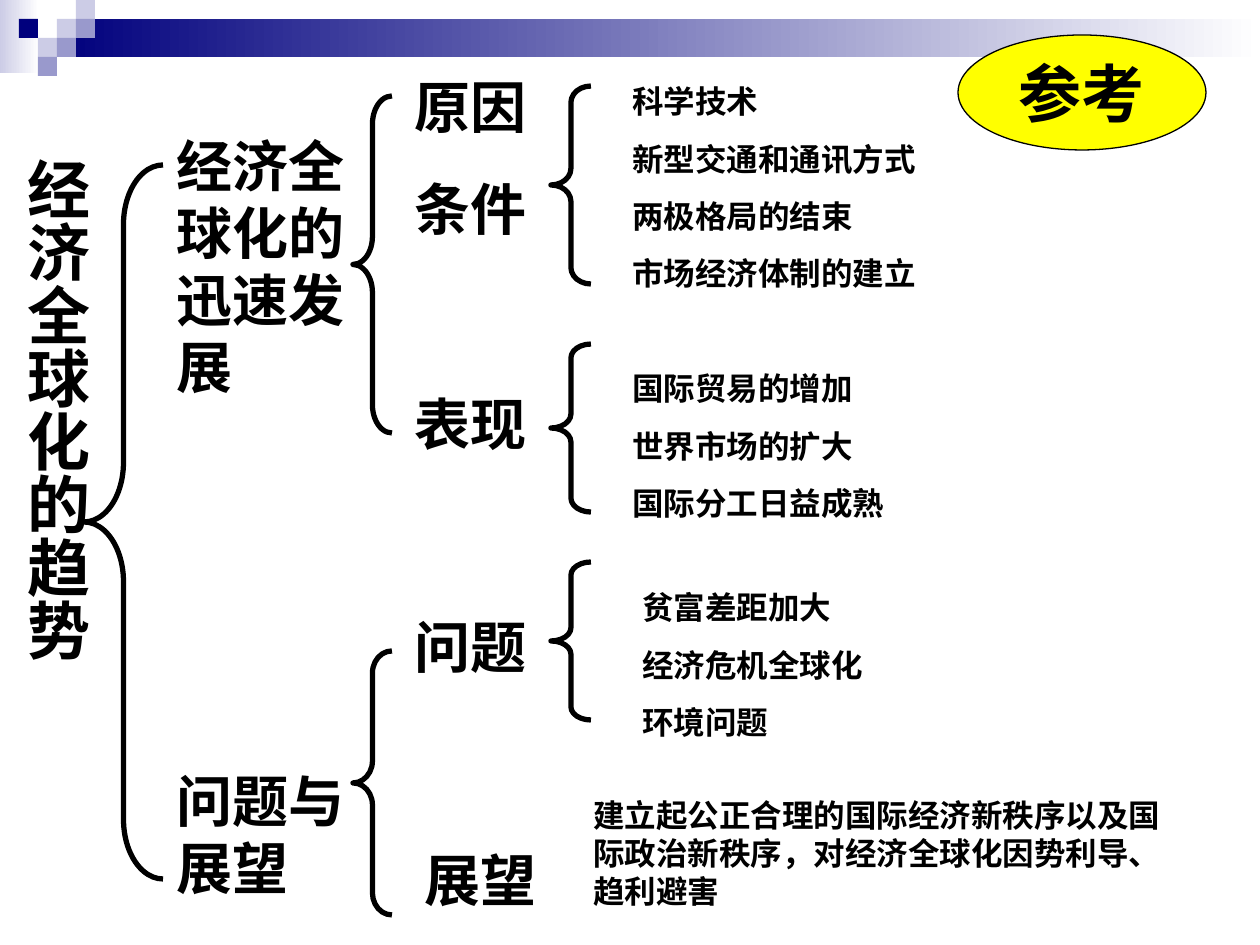
import pptx
import pptx.dml.color
import pptx.enum.shapes
import pptx.enum.text
import pptx.util

RGBColor = pptx.dml.color.RGBColor
MSO_SHAPE = pptx.enum.shapes.MSO_SHAPE
PP_ALIGN = pptx.enum.text.PP_ALIGN
MSO_ANCHOR = pptx.enum.text.MSO_ANCHOR
MSO_AUTO_SIZE = pptx.enum.text.MSO_AUTO_SIZE

BLACK = RGBColor(0x00, 0x00, 0x00)
WHITE = RGBColor(0xFF, 0xFF, 0xFF)
NAVY = RGBColor(0x00, 0x00, 0x7D)
LAVENDER = RGBColor(0xCC, 0xCC, 0xE6)
PERIWINKLE = RGBColor(0x99, 0x99, 0xCC)
YELLOW = RGBColor(0xFF, 0xFF, 0x00)

PX_PER_INCH = 126
TILE = 19

TILES = [
    (3, 1, LAVENDER),
    (4, 0, LAVENDER),
    (4, 1, PERIWINKLE),
    (2, 2, LAVENDER),
    (1, 1, NAVY),
    (3, 2, PERIWINKLE),
    (2, 3, PERIWINKLE),
]

BRACES = [
    (84, 165, 79, 714),
    (353, 96, 39, 337),
    (353, 651, 39, 264),
    (551, 86, 40, 198),
    (551, 344, 40, 168),
    (551, 562, 40, 158),
]

BRANCHES = [
    ((164, 125, 228, 282), ["经济全球化的迅速发展"]),
    ((164, 760, 218, 147), ["问题与展望"]),
    ((402, 66, 218, 183), ["原因", "条件"]),
    ((402, 383, 348, 81), ["表现"]),
    ((402, 606, 137, 81), ["问题"]),
    ((412, 839, 137, 81), ["展望"]),
]

DETAILS = [
    ((620, 76, 446, 223),
     ["科学技术", "新型交通和通讯方式", "两极格局的结束", "市场经济体制的建立"]),
    ((620, 363, 476, 166),
     ["国际贸易的增加", "世界市场的扩大", "国际分工日益成熟"]),
    ((630, 582, 407, 166),
     ["贫富差距加大", "经济危机全球化", "环境问题"]),
    ((581, 790, 615, 126),
     ["建立起公正合理的国际经济新秩序以及国际政治新秩序，对经济全球化因势利导、趋利避害"]),
]


def px(length):
    return pptx.util.Emu(round(length * 914400 / PX_PER_INCH))


def add_shape(slide, preset, box):
    shape = slide.shapes.add_shape(preset, *map(px, box))
    shape.shadow.inherit = False
    shape.line.fill.background()
    return shape


def add_tile(slide, column, row, color):
    tile = add_shape(slide, MSO_SHAPE.RECTANGLE, (column * TILE, row * TILE, TILE, TILE))
    tile.fill.solid()
    tile.fill.fore_color.rgb = color


def add_fading_band(slide, box, color):
    band = add_shape(slide, MSO_SHAPE.RECTANGLE, box)
    band.fill.gradient()
    band.fill.gradient_angle = 0
    for stop, stop_color in zip(band.fill.gradient_stops, (color, WHITE)):
        stop.color.rgb = stop_color


def add_brace(slide, box):
    brace = add_shape(slide, MSO_SHAPE.LEFT_BRACE, box)
    width, height = box[2:]
    brace.adjustments[0] = height / (12 * width)
    brace.fill.background()
    brace.line.color.rgb = BLACK
    brace.line.width = pptx.util.Pt(3)


def style_paragraph(paragraph, size):
    paragraph.font.name = "Arial"
    paragraph.font.size = pptx.util.Pt(size)
    paragraph.font.bold = True
    paragraph.font.color.rgb = BLACK


def add_text(slide, box, lines, size, gap=0):
    frame = slide.shapes.add_textbox(*map(px, box)).text_frame
    frame.word_wrap = True
    frame.auto_size = MSO_AUTO_SIZE.SHAPE_TO_FIT_TEXT
    for index, line in enumerate(lines):
        paragraph = frame.add_paragraph() if index else frame.paragraphs[0]
        paragraph.text = line
        if index:
            paragraph.space_before = pptx.util.Pt(gap)
        style_paragraph(paragraph, size)
    return frame


def add_vertical_title(slide, box, title):
    frame = add_text(slide, box, [title], 36)
    frame._txBody.bodyPr.set("vert", "eaVert")
    frame.margin_left = frame.margin_right = pptx.util.Inches(0.05)
    frame.margin_top = frame.margin_bottom = pptx.util.Inches(0.1)
    frame.paragraphs[0].alignment = PP_ALIGN.CENTER


def add_badge(slide, box, label):
    badge = add_shape(slide, MSO_SHAPE.OVAL, box)
    badge.fill.solid()
    badge.fill.fore_color.rgb = YELLOW
    badge.line.color.rgb = BLACK
    badge.line.width = pptx.util.Pt(0.75)
    frame = badge.text_frame
    frame.word_wrap = False
    frame.vertical_anchor = MSO_ANCHOR.MIDDLE
    paragraph = frame.paragraphs[0]
    paragraph.text = label
    paragraph.alignment = PP_ALIGN.CENTER
    style_paragraph(paragraph, 36)


def main():
    presentation = pptx.Presentation()
    presentation.slide_width = px(1260)
    presentation.slide_height = px(945)
    slide = presentation.slides.add_slide(presentation.slide_layouts[6])

    add_fading_band(slide, (0, 0, 39, 73), LAVENDER)
    add_fading_band(slide, (57, 19, 1203, 38), NAVY)
    for column, row, color in TILES:
        add_tile(slide, column, row, color)

    add_vertical_title(slide, (0, 145, 101, 725), "经济全球化的趋势")
    for box in BRACES:
        add_brace(slide, box)
    for box, lines in BRANCHES:
        add_text(slide, box, lines, 32, 20)
    for box, lines in DETAILS:
        add_text(slide, box, lines, 18, 11.2)
    add_badge(slide, (958, 35, 248, 115), "参考")

    presentation.save("out.pptx")


if __name__ == "__main__":
    main()
